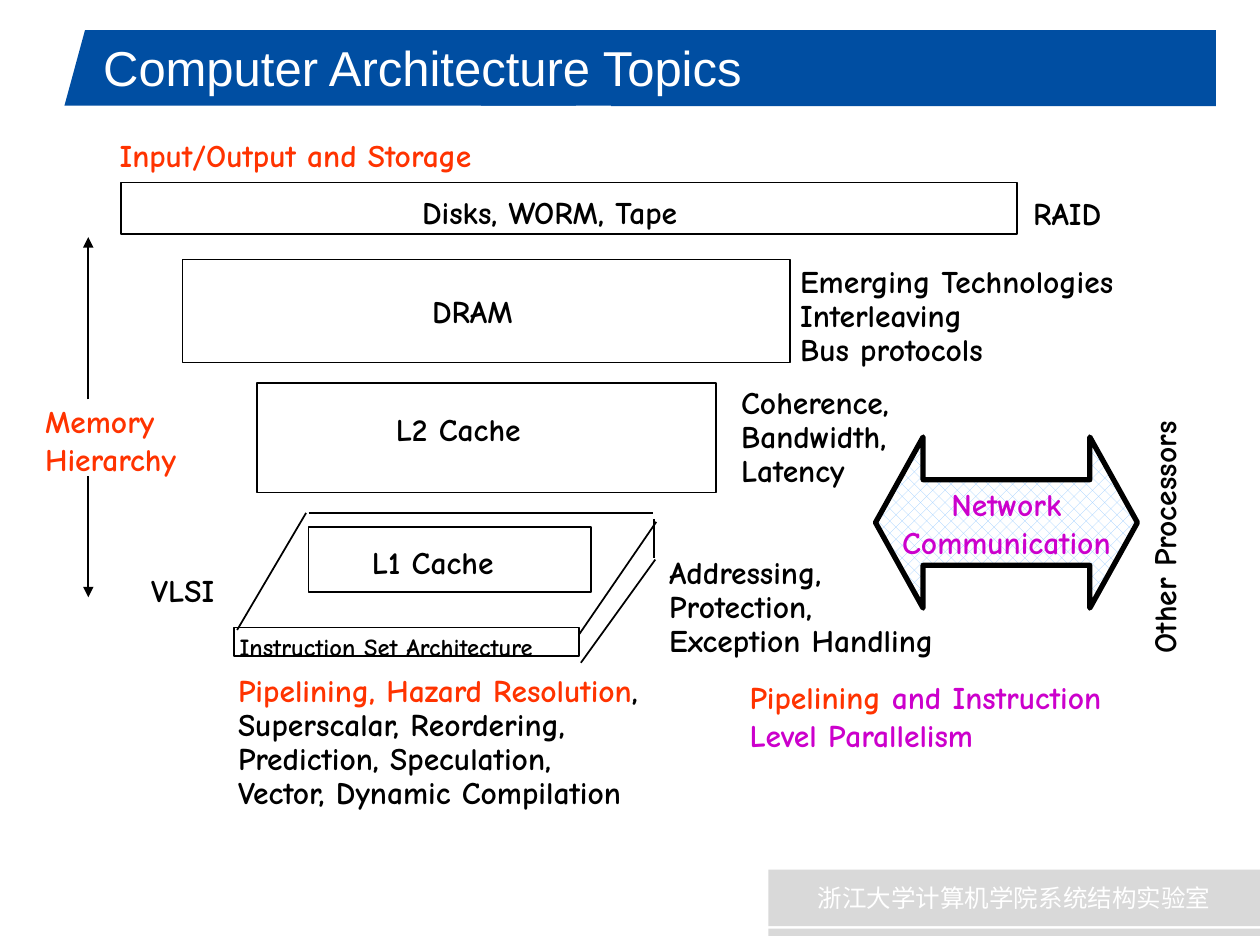
"""Build a slide that maps computer architecture topics onto the memory hierarchy."""
from lxml import etree
from pptx import Presentation
from pptx.dml.color import RGBColor
from pptx.enum.dml import MSO_PATTERN
from pptx.enum.shapes import MSO_CONNECTOR, MSO_SHAPE
from pptx.enum.text import MSO_ANCHOR, MSO_AUTO_SIZE, PP_ALIGN
from pptx.oxml.ns import qn
from pptx.util import Cm, Pt

RECTANGLE = MSO_SHAPE.RECTANGLE
TRAPEZOID = MSO_SHAPE.TRAPEZOID
DOUBLE_ARROW = MSO_SHAPE.LEFT_RIGHT_ARROW
STRAIGHT = MSO_CONNECTOR.STRAIGHT
DOTS = MSO_PATTERN.PERCENT_30
TOP, MIDDLE = MSO_ANCHOR.TOP, MSO_ANCHOR.MIDDLE
LEFT, CENTER = PP_ALIGN.LEFT, PP_ALIGN.CENTER
GROW, FIXED = MSO_AUTO_SIZE.SHAPE_TO_FIT_TEXT, MSO_AUTO_SIZE.NONE

COLORS = {
    "black": "000000", "white": "FFFFFF", "blue": "004EA2", "gray": "D9D9D9",
    "orange": "FF3300", "purple": "CC00CC", "sky": "99CCFF",
}
LOOSE = {"margin_left": Cm(0.25), "margin_right": Cm(0.25),
         "margin_top": Cm(0.13), "margin_bottom": Cm(0.13)}
TIGHT = {"margin_left": Cm(0.18), "margin_right": Cm(0.18),
         "margin_top": Cm(0.08), "margin_bottom": Cm(0.08)}


def set_all(target, values):
    """Set every attribute named in a dict of format values."""
    for name, value in values.items():
        setattr(target, name, value)


def color(name):
    """Return the named colour."""
    return RGBColor.from_string(COLORS[name])


class TopicSlide:
    """Hold the text style and the current slide, and draw its elements."""

    def __init__(self, slide, font="Comic Neue", size=18):
        """Keep the slide and the default font."""
        self.slide = slide
        self.font = font
        self.size = size

    def fill_text(self, shape, lines, ink="black", spacing=1.0, align=LEFT, frame=None, **font):
        """Fill a shape with lines, each a string or a list of coloured runs."""
        set_all(shape.text_frame, {**LOOSE, "word_wrap": False, **(frame or {})})
        style = {"name": self.font, "size": Pt(self.size), "bold": True, **font}
        for index, line in enumerate(lines):
            paragraphs = shape.text_frame.paragraphs
            paragraph = paragraphs[0] if index == 0 else shape.text_frame.add_paragraph()
            set_all(paragraph, {"alignment": align, "line_spacing": spacing})
            for text, run_ink in [(line, ink)] if isinstance(line, str) else line:
                run = paragraph.add_run()
                run.text = text
                set_all(run.font, style)
                run.font.color.rgb = color(run_ink)
                if not text.isascii():
                    east_asian = etree.SubElement(run.font._element, qn("a:ea"))
                    east_asian.set("typeface", style["name"])

    def title(self, box, text):
        """Place and format the title placeholder."""
        shape = self.slide.shapes.title
        set_all(shape, dict(zip(("left", "top", "width", "height"), map(Cm, box))))
        frame = {"vertical_anchor": MIDDLE, "word_wrap": True, "auto_size": FIXED}
        self.fill_text(shape, [text], "white", frame=frame, name="Arial", size=Pt(28), bold=False)

    def shape(self, box, kind=RECTANGLE, fill=None, outline=None, width=1):
        """Add a preset shape with an optional fill and outline."""
        shape = self.slide.shapes.add_shape(kind, *map(Cm, box))
        shape.shadow.inherit = False
        if fill:
            shape.fill.solid()
            shape.fill.fore_color.rgb = color(fill)
        else:
            shape.fill.background()
        if outline:
            shape.line.color.rgb = color(outline)
            shape.line.width = Pt(width)
        else:
            shape.line.fill.background()
        return shape

    def text(self, box, lines, ink="black", tight=True, wrap=False):
        """Add a text box that grows with its text."""
        shape = self.slide.shapes.add_textbox(*map(Cm, box))
        frame = {**(TIGHT if tight else LOOSE), "word_wrap": wrap,
                 "auto_size": GROW, "vertical_anchor": TOP}
        size = Pt(14) if box[3] < 0.8 else Pt(self.size)
        self.fill_text(shape, lines, ink, 0.9 if tight else 1.0, frame=frame, size=size)
        return shape

    def line(self, ends, arrow=False):
        """Add a thin black line, with an arrowhead at its end if asked."""
        connector = self.slide.shapes.add_connector(STRAIGHT, *map(Cm, ends))
        connector.line.color.rgb = color("black")
        connector.line.width = Pt(1)
        if arrow:
            outline = connector.line._get_or_add_ln()
            etree.SubElement(outline, qn("a:tailEnd")).set("type", "triangle")
        etree.SubElement(connector._element.spPr, qn("a:effectLst"))

    def network_arrow(self, box, lines):
        """Add the patterned double arrow with its label."""
        shape = self.shape(box, DOUBLE_ARROW, outline="black", width=3)
        shape.adjustments[0], shape.adjustments[1] = 0.5, 0.278
        shape.fill.patterned()
        shape.fill.pattern = DOTS
        shape.fill.fore_color.rgb = color("sky")
        shape.fill.back_color.rgb = color("white")
        self.fill_text(shape, lines, "purple", align=CENTER, frame={"vertical_anchor": MIDDLE})


def main():
    """Draw the slide and save it."""
    presentation = Presentation()
    set_all(presentation, {"slide_width": Cm(25.4), "slide_height": Cm(19.05)})
    topics = TopicSlide(presentation.slides.add_slide(presentation.slide_layouts[5]))

    banner_end = topics.shape((1.3, 0.61, 10.31, 1.52), TRAPEZOID, "blue")
    banner_end.adjustments[0] = 0.273
    for box in ((9.7, 0.61, 14.81, 1.52), (12.32, 2.01, 12.19, 0.13)):
        topics.shape(box, fill="blue")
    footer = topics.shape((15.49, 17.53, 9.91, 1.14), fill="gray")
    topics.fill_text(footer, ["浙江大学计算机学院系统结构实验室"], "white", align=CENTER,
                     frame={"vertical_anchor": MIDDLE, "word_wrap": True},
                     name="Noto Sans CJK SC", size=Pt(14), bold=False)
    topics.shape((15.49, 18.72, 9.91, 0.15), fill="gray")
    title = topics.slide.shapes.title._element
    title.getparent().append(title)
    topics.title((1.83, 0.64, 21.95, 1.4), "Computer Architecture Topics")

    levels = [
        ((4.72, 12.65, 6.96, 0.58), (4.65, 12.73, 7.34, 0.69), "Instruction Set Architecture"),
        ((6.22, 10.62, 5.69, 1.32), (7.32, 10.95, 3.15, 0.84), "L1 Cache"),
        ((5.18, 7.72, 9.25, 2.21), (7.8, 8.28, 3.15, 0.84), "L2 Cache"),
        ((3.68, 5.23, 12.24, 2.08), (8.53, 5.89, 2.24, 0.84), "DRAM"),
        ((2.44, 3.68, 18.06, 1.04), (8.33, 3.89, 6.65, 0.84), "Disks, WORM, Tape"),
    ]
    for box, label_box, label in levels:
        topics.shape(box, outline="black")
        topics.text(label_box, [label])

    chip_edges = [
        (4.78, 12.7, 6.17, 10.34), (6.22, 10.34, 13.16, 10.34),
        (13.23, 10.52, 11.68, 12.78), (13.18, 10.46, 13.18, 11.25),
        (13.21, 11.28, 11.71, 13.36),
    ]
    for ends in chip_edges:
        topics.line(ends)

    notes = [
        ((4.62, 13.54, 9.45, 2.9),
         [[("Pipelining, Hazard Resolution", "orange"), (",", "black")],
          "Superscalar, Reordering,", "Prediction, Speculation,", "Vector, Dynamic Compilation"]),
        ((13.31, 11.15, 6.12, 2.21), ["Addressing,", "Protection,", "Exception Handling"]),
        ((14.76, 7.72, 3.76, 2.21), ["Coherence,", "Bandwidth,", "Latency"]),
        ((15.95, 5.28, 7.19, 2.21), ["Emerging Technologies", "Interleaving", "Bus protocols"]),
        ((20.65, 3.91, 2.03, 0.84), ["RAID"]),
        ((2.87, 11.51, 1.93, 0.84), ["VLSI"]),
    ]
    for box, lines in notes:
        topics.text(box, lines)

    headings = [
        ((2.16, 2.62, 8.61, 1.02), ["Input/Output and Storage"]),
        ((0.66, 7.98, 3.53, 1.78), ["Memory", "Hierarchy"]),
        ((14.86, 13.54, 8.51, 1.78),
         [[("Pipelining ", "orange"), ("and Instruction", "purple")],
          [("Level Parallelism", "purple")]]),
    ]
    for box, lines in headings:
        topics.text(box, lines, "orange", tight=False)
    for start, end in ((8.05, 4.78), (9.6, 12.04)):
        topics.line((1.78, start, 1.78, end), arrow=True)

    topics.network_arrow((17.65, 8.81, 5.28, 3.45), ["Network", "Communication"])
    processors = topics.text((21.06, 9.75, 5.56, 1.78), ["Other Processors"],
                             tight=False, wrap=True)
    processors.rotation = 270
    presentation.save("out.pptx")


if __name__ == "__main__":
    main()
